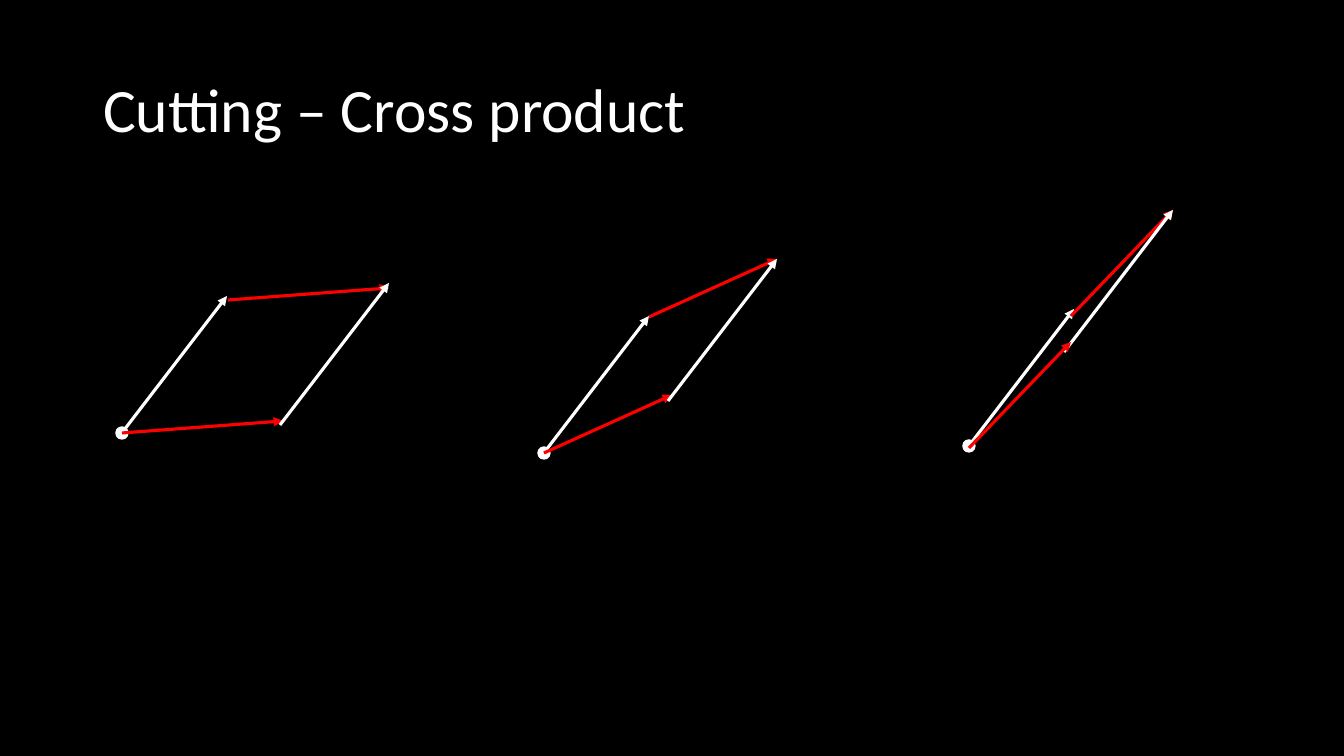
import pptx
import pptx.dml.color
import pptx.enum.shapes
import pptx.enum.text
import pptx.oxml
import pptx.oxml.ns
import pptx.util

PX = 914400 / 100.8
COLORS = {"background": "000000", "white": "FFFFFF", "red": "FF0000"}
DOT_SIZE = 12
EDGE = (109, -142)
FIGURES = [
    {"box": (116, 283, 273, 156), "blade": (161, -12), "top_drop": 5, "base_drop": 0, "blade_last": False},
    {"box": (538, 259, 239, 200), "blade": (128, -58), "top_drop": 0, "base_drop": 0, "blade_last": False},
    {"box": (963, 210, 210, 242), "blade": (102, -106), "top_drop": 0, "base_drop": 2, "blade_last": True},
]


def emu(pixels):
    return pptx.util.Emu(round(pixels * PX))


def color(name):
    return pptx.dml.color.RGBColor.from_string(COLORS[name])


def add_title(slide, box, text):
    title = slide.shapes.title
    title.left, title.top, title.width, title.height = map(emu, box)
    frame = title.text_frame
    frame.word_wrap = True
    frame.vertical_anchor = pptx.enum.text.MSO_ANCHOR.MIDDLE
    paragraph = frame.paragraphs[0]
    paragraph.alignment = pptx.enum.text.PP_ALIGN.LEFT
    paragraph.line_spacing = 0.9
    run = paragraph.add_run()
    run.text = text
    run.font.name = "Calibri"
    run.font.size = pptx.util.Pt(44)
    run.font.color.rgb = color("white")


def add_dot(shapes, center):
    left, top = (value - DOT_SIZE / 2 for value in center)
    dot = shapes.add_shape(
        pptx.enum.shapes.MSO_SHAPE.OVAL, emu(left), emu(top), emu(DOT_SIZE), emu(DOT_SIZE)
    )
    dot.shadow.inherit = False
    dot.fill.solid()
    dot.fill.fore_color.rgb = color("white")
    dot.line.color.rgb = color("white")
    dot.line.width = pptx.util.Pt(1)


def add_vector(shapes, start, vector, color_name):
    end = (start[0] + vector[0], start[1] + vector[1])
    arrow = shapes.add_connector(
        pptx.enum.shapes.MSO_CONNECTOR.STRAIGHT, *map(emu, start + end)
    )
    arrow.line.color.rgb = color(color_name)
    arrow.line.width = pptx.util.Pt(2.25)
    tail = pptx.oxml.parse_xml(
        f'<a:tailEnd {pptx.oxml.ns.nsdecls("a")} type="triangle"/>'
    )
    arrow.line._get_or_add_ln().append(tail)
    effects = pptx.oxml.parse_xml(f'<a:effectLst {pptx.oxml.ns.nsdecls("a")}/>')
    arrow._element.spPr.append(effects)


def add_parallelogram(slide, box, blade, top_drop, base_drop, blade_last):
    left, top, width, height = box
    center = (left + DOT_SIZE // 2, top + height - DOT_SIZE // 2)
    right = left + width
    blade_start = (center[0], center[1] + base_drop)
    base = slide.shapes.add_group_shape().shapes
    add_dot(base, center)
    add_vector(base, (center[0] - 4, center[1] + 5), EDGE, "white")
    if not blade_last:
        add_vector(base, blade_start, blade, "red")
    add_vector(slide.shapes, (right - blade[0], top + top_drop - blade[1]), blade, "red")
    add_vector(slide.shapes, (right - EDGE[0], top - EDGE[1]), EDGE, "white")
    if blade_last:
        add_vector(slide.shapes, blade_start, blade, "red")


def main():
    presentation = pptx.Presentation()
    presentation.slide_width = emu(1344)
    presentation.slide_height = emu(756)
    slide = presentation.slides.add_slide(presentation.slide_layouts[5])
    slide.background.fill.solid()
    slide.background.fill.fore_color.rgb = color("background")
    add_title(slide, (93, 40, 1159, 146), "Cutting – Cross product")
    for figure in FIGURES:
        add_parallelogram(slide, **figure)
    presentation.save("out.pptx")


if __name__ == "__main__":
    main()
